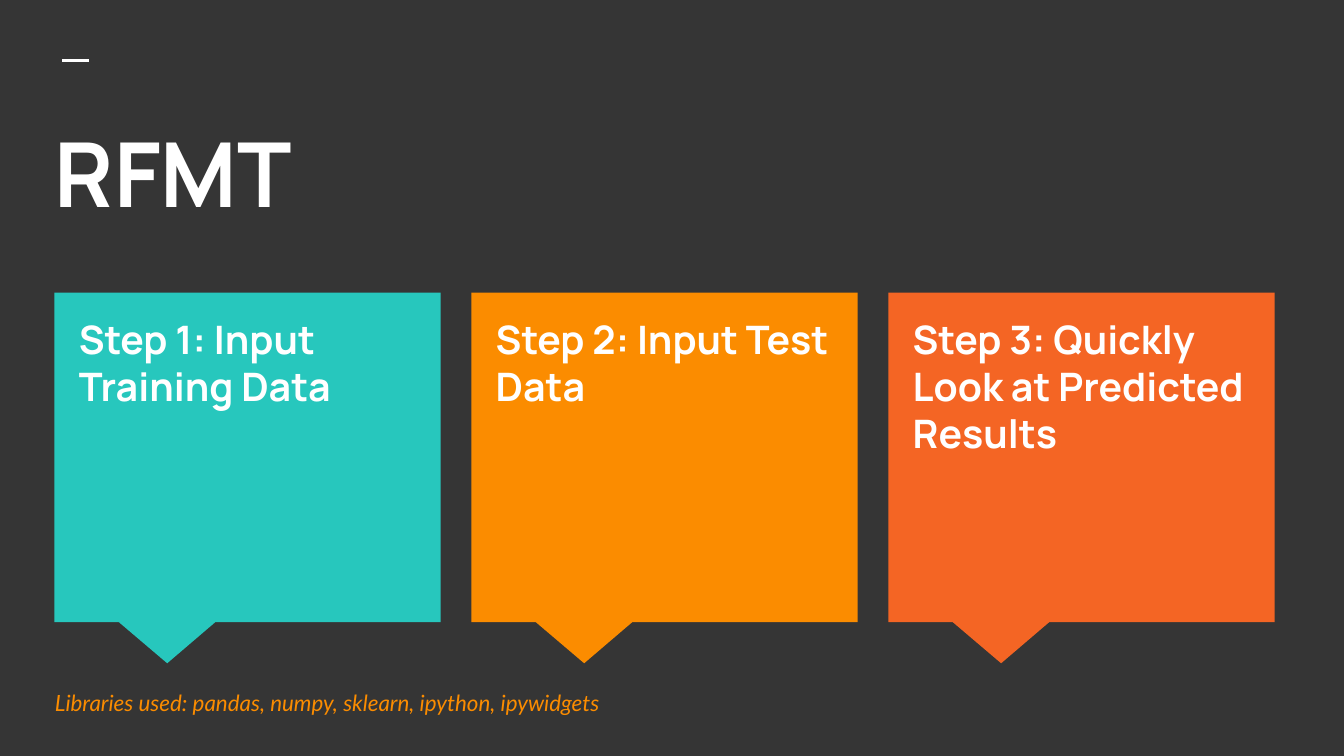
from dataclasses import dataclass

from lxml import etree
from pptx import Presentation
from pptx.dml.color import RGBColor
from pptx.enum.shapes import MSO_CONNECTOR, MSO_SHAPE
from pptx.enum.text import MSO_ANCHOR
from pptx.oxml.ns import qn
from pptx.slide import Slide
from pptx.util import Cm, Pt

CALLOUT = MSO_SHAPE.RECTANGULAR_CALLOUT
STRAIGHT = MSO_CONNECTOR.STRAIGHT
TOP, MIDDLE = MSO_ANCHOR.TOP, MSO_ANCHOR.MIDDLE

WHITE, ORANGE = "FFFFFF", "FB8C00"
INSET = 0.25
LEFT, ROW, PITCH = 1.03, 5.53, 7.88
WIDTH, HEIGHT = 7.3, 6.23

HEAD = {"name": "Manrope", "size": Pt(48), "bold": True}
STEP = HEAD | {"size": Pt(21)}
NOTE = {"name": "Lato", "size": Pt(12), "italic": True}


@dataclass
class Box:
    """A place on the slide, in centimetres."""
    left: float
    top: float
    width: float
    height: float

    def cm(self) -> list[Cm]:
        return [Cm(n) for n in (self.left, self.top, self.width, self.height)]


@dataclass
class Card:
    text: str
    fill: str


CARDS = [
    Card("Step 1: Input Training Data", "27C7BD"),
    Card("Step 2: Input Test Data", ORANGE),
    Card("Step 3: Quickly Look at Predicted Results", "F46524"),
]


def paint(item, color: str) -> None:
    """Give a fill a solid colour."""
    item.solid()
    item.fore_color.rgb = RGBColor.from_string(color)


def add_text(slide: Slide, box: Box, text: str, style: dict,
             color: str = WHITE, anchor: MSO_ANCHOR = TOP) -> None:
    frame = slide.shapes.add_textbox(*box.cm()).text_frame
    frame.word_wrap = True
    frame.vertical_anchor = anchor
    for side in ("left", "top", "right", "bottom"):
        setattr(frame, f"margin_{side}", Cm(INSET))
    run = frame.paragraphs[0].add_run()
    run.text = text
    for key, value in style.items():
        setattr(run.font, key, value)
    paint(run.font.fill, color)


def add_card(slide: Slide, card: Card, left: float) -> None:
    box = Box(left, ROW, WIDTH, HEIGHT)
    shape = slide.shapes.add_shape(CALLOUT, *box.cm())
    shape.shadow.inherit = False
    shape.adjustments[0] = -0.208
    shape.adjustments[1] = 0.625
    paint(shape.fill, card.fill)
    shape.line.fill.background()
    add_text(slide, Box(left + 0.21, ROW + 0.18, 6.88, 5.56), card.text, STEP)


def add_dash(slide: Slide) -> None:
    ends = [Cm(n) for n in (1.18, 1.15, 1.69, 1.15)]
    dash = slide.shapes.add_connector(STRAIGHT, *ends)
    dash.line.width = Pt(1.5)
    paint(dash.line.fill, WHITE)
    etree.SubElement(dash.line._get_or_add_ln().getparent(),
                     qn("a:effectLst"))


def main() -> None:
    deck = Presentation()
    deck.slide_width, deck.slide_height = Cm(25.4), Cm(14.29)
    slide = deck.slides.add_slide(deck.slide_layouts[6])
    paint(slide.background.fill, "353535")

    add_dash(slide)
    add_text(slide, Box(0.79, 1.98, 23.95, 2.84), "RFMT", HEAD)
    for i, card in enumerate(CARDS):
        add_card(slide, card, LEFT + i * PITCH)
    add_text(slide, Box(0.79, 12.93, 17.35, 0.71),
             "Libraries used: pandas, numpy, sklearn, ipython, ipywidgets",
             NOTE, ORANGE, MIDDLE)
    deck.save("out.pptx")


if __name__ == "__main__":
    main()
